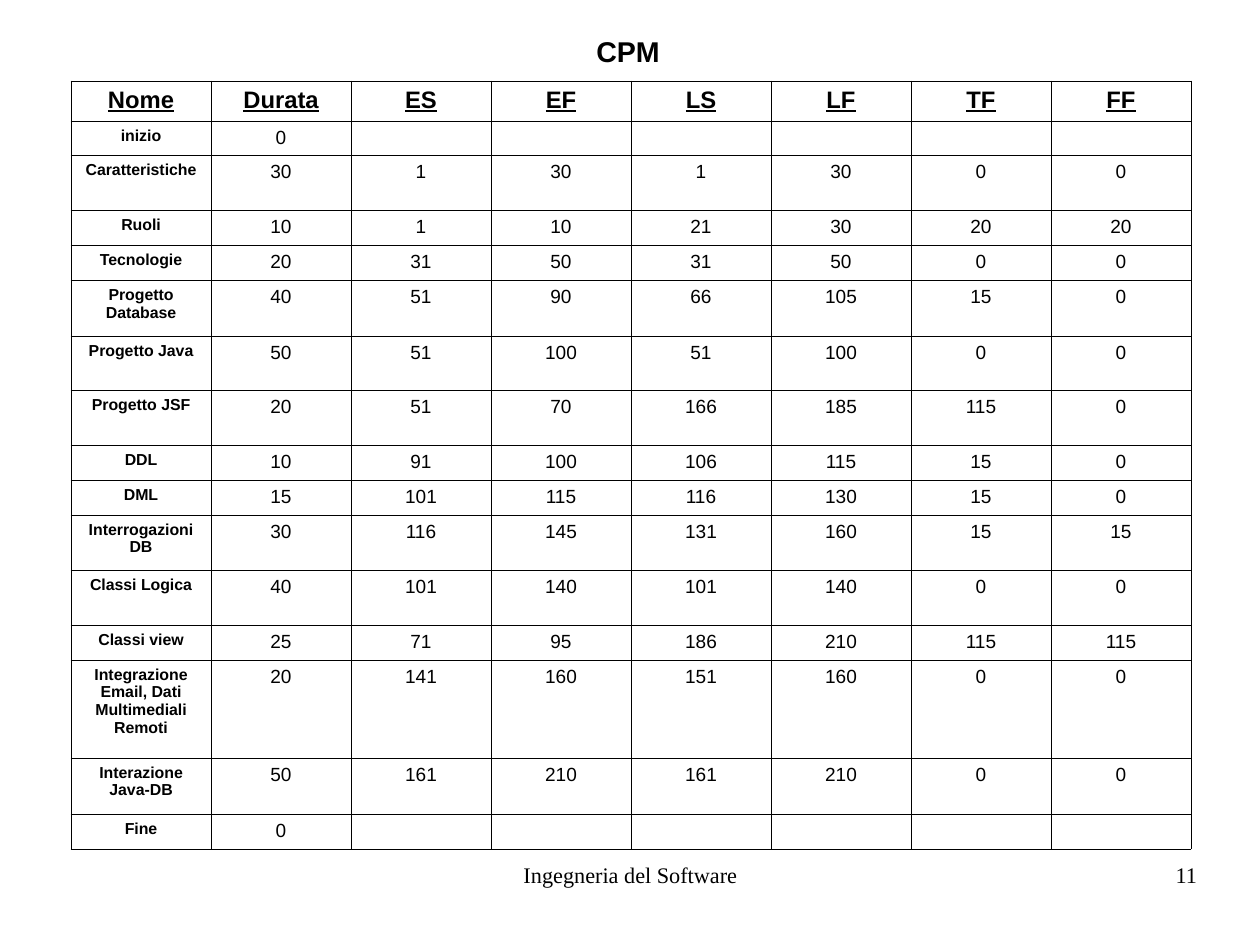
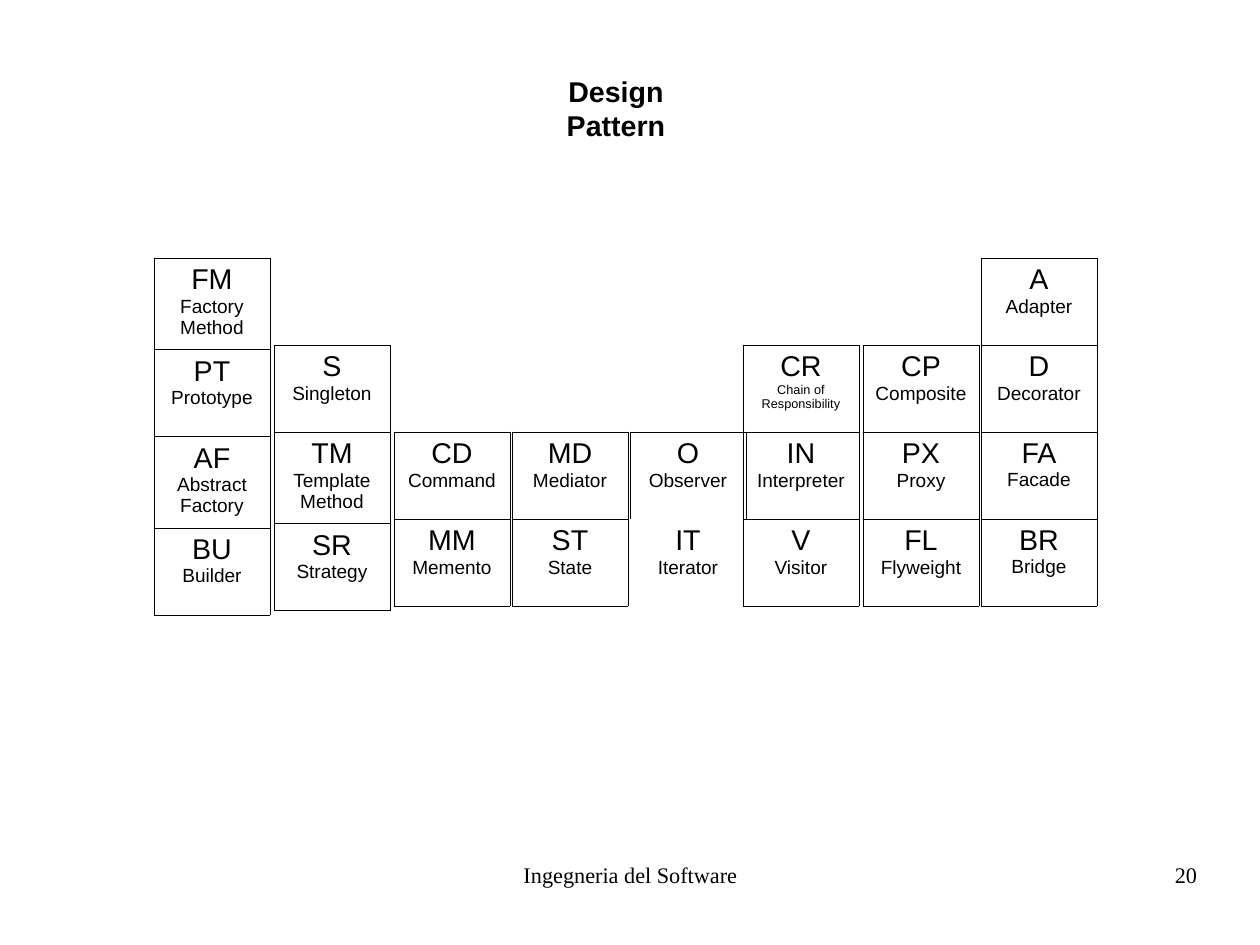
from dataclasses import dataclass

from lxml.etree import SubElement
from pptx import Presentation
from pptx.dml.color import RGBColor
from pptx.enum.text import MSO_ANCHOR as Anchor, PP_ALIGN as Align
from pptx.oxml.ns import qn
from pptx.util import Emu, Pt

SCALE = 8000  # EMU per pixel


@dataclass(frozen=True)
class Theme:
    """Colours, fonts, type sizes and line widths of the deck."""
    ink: str = "000000"
    paper: str = "FFFFFF"
    sans: str = "Arial"
    serif: str = "Times New Roman"
    title: int = 18
    head: int = 15
    body: int = 12
    label: int = 10
    small: int = 8
    footer: int = 14
    rule: int = 7200
    hairline: int = 720


THEME = Theme()
SIDES = "LRTB"
FOOTER = "Ingegneria del Software"

HEADINGS = ["Nome", "Durata", "ES", "EF", "LS", "LF", "TF", "FF"]
ACTIVITIES = [  # row height, name, values
    (34, "inizio", [0]),
    (55, "Caratteristiche", [30, 1, 30, 1, 30, 0, 0]),
    (35, "Ruoli", [10, 1, 10, 21, 30, 20, 20]),
    (35, "Tecnologie", [20, 31, 50, 31, 50, 0, 0]),
    (56, "Progetto Database", [40, 51, 90, 66, 105, 15, 0]),
    (54, "Progetto Java", [50, 51, 100, 51, 100, 0, 0]),
    (55, "Progetto JSF", [20, 51, 70, 166, 185, 115, 0]),
    (35, "DDL", [10, 91, 100, 106, 115, 15, 0]),
    (35, "DML", [15, 101, 115, 116, 130, 15, 0]),
    (55, "Interrogazioni DB", [30, 116, 145, 131, 160, 15, 15]),
    (55, "Classi Logica", [40, 101, 140, 101, 140, 0, 0]),
    (35, "Classi view", [25, 71, 95, 186, 210, 115, 115]),
    (98, "Integrazione Email, Dati Multimediali Remoti",
     [20, 141, 160, 151, 160, 0, 0]),
    (56, "Interazione Java-DB", [50, 161, 210, 161, 210, 0, 0]),
    (35, "Fine", [0]),
]

PATTERN_COLUMNS = [  # left edge, patterns from top to bottom
    (154, [("FM", "Factory Method"), ("PT", "Prototype"),
           ("AF", "Abstract Factory"), ("BU", "Builder")]),
    (274, [("S", "Singleton"), ("TM", "Template Method"), ("SR", "Strategy")]),
    (394, [("CD", "Command"), ("MM", "Memento")]),
    (512, [("MD", "Mediator"), ("ST", "State")]),
    (630, [("O", "Observer"), ("IT", "Iterator")]),
    (743, [("CR", "Chain of Responsibility"), ("IN", "Interpreter"),
           ("V", "Visitor")]),
    (863, [("CP", "Composite"), ("PX", "Proxy"), ("FL", "Flyweight")]),
    (981, [("A", "Adapter"), ("D", "Decorator"), ("FA", "Facade"),
           ("BR", "Bridge")]),
]
SMALL_NAMES = {"Chain of Responsibility"}
OPEN_SIDES = {"O": "B", "IT": SIDES}


def px(length):
    """Turn whole pixels into EMU."""
    return Emu(length * SCALE)


def write(para, text, align=Align.CENTER, **font):
    """Put one formatted span into a paragraph."""
    para.alignment = align
    span = para.add_run()
    span.text = text
    span.font.color.rgb = RGBColor.from_string(THEME.ink)
    for name, value in ({"name": THEME.sans} | font).items():
        setattr(span.font, name, value)


def add_text(page, box, text, margins=True, wrap=True, **style):
    """Place a one-paragraph text box in the given box."""
    frame = page.shapes.add_textbox(*map(px, box)).text_frame
    settings = {"word_wrap": wrap, "vertical_anchor": Anchor.TOP}
    if not margins:
        settings |= {f"margin_{side}": 0
                     for side in ("left", "right", "top", "bottom")}
    for name, value in settings.items():
        setattr(frame, name, value)
    write(frame.paragraphs[0], text, **style)


def add_page(deck, title, title_box, number):
    """Add a blank page with its title and footer."""
    page = deck.slides.add_slide(deck.slide_layouts[6])
    add_text(page, title_box, title, wrap=False,
             size=Pt(THEME.title), bold=True)
    footer = {"margins": False, "name": THEME.serif, "size": Pt(THEME.footer)}
    add_text(page, (431, 861, 399, 65), FOOTER, **footer)
    add_text(page, (903, 861, 294, 65), str(number),
             align=Align.RIGHT, **footer)
    return page


def style_cell(cell, open_sides=""):
    """Rule the four sides of a cell, the open ones in paper colour."""
    properties = cell._tc.get_or_add_tcPr()
    for side in SIDES:
        is_open = side in open_sides
        width = THEME.hairline if is_open else THEME.rule
        line = SubElement(properties, qn(f"a:ln{side}"), w=str(width))
        fill = SubElement(line, qn("a:solidFill"))
        SubElement(fill, qn("a:srgbClr"),
                   val=THEME.paper if is_open else THEME.ink)
    cell.fill.background()


def add_grid(page, left, top, column_width, columns, heights):
    """Add an unstyled table with equal columns and the given row heights."""
    box = (left, top, column_width * columns, sum(heights))
    table = page.shapes.add_table(len(heights), columns, *map(px, box)).table
    table.first_row = table.horz_banding = False
    for column in table.columns:
        column.width = px(column_width)
    for row, height in zip(table.rows, heights):
        row.height = px(height)
    return table


def add_schedule(page, left, top):
    """Fill the table of activities and their dates."""
    heights = [40] + [height for height, _, _ in ACTIVITIES]
    table = add_grid(page, left, top, 140, len(HEADINGS), heights)
    rows = [HEADINGS] + [[name, *values] for _, name, values in ACTIVITIES]
    heading = {"size": Pt(THEME.head), "bold": True, "underline": True}
    label = {"size": Pt(THEME.label), "bold": True}
    value = {"size": Pt(THEME.body)}
    for row_index, texts in enumerate(rows):
        for column_index in range(len(HEADINGS)):
            cell = table.cell(row_index, column_index)
            style_cell(cell)
            para = cell.text_frame.paragraphs[0]
            if column_index < len(texts):
                style = (heading if row_index == 0
                         else label if column_index == 0 else value)
                write(para, str(texts[column_index]), **style)
            else:
                SubElement(para._p, qn("a:endParaRPr"),
                           sz=str(THEME.body * 100))


def add_pattern_column(page, left, bottom, patterns):
    """Stack pattern cells upwards from a shared base line."""
    height = 87
    count = len(patterns)
    table = add_grid(page, left, bottom - height * count, 116, 1,
                     [height] * count)
    for index, (symbol, name) in enumerate(patterns):
        cell = table.cell(index, 0)
        style_cell(cell, OPEN_SIDES.get(symbol, ""))
        frame = cell.text_frame
        write(frame.paragraphs[0], symbol, size=Pt(THEME.title))
        size = THEME.small if name in SMALL_NAMES else THEME.body
        write(frame.add_paragraph(), name, size=Pt(size))


def main():
    """Build the two pages and save the deck."""
    deck = Presentation()
    deck.slide_width, deck.slide_height = px(1260), px(945)

    page = add_page(deck, "CPM", (585, 28, 86, 43), 11)
    add_schedule(page, 71, 81)

    page = add_page(deck, "Design Pattern", (504, 68, 224, 43), 20)
    for left, patterns in PATTERN_COLUMNS:
        add_pattern_column(page, left, 606, patterns)

    deck.save("out.pptx")


main()
